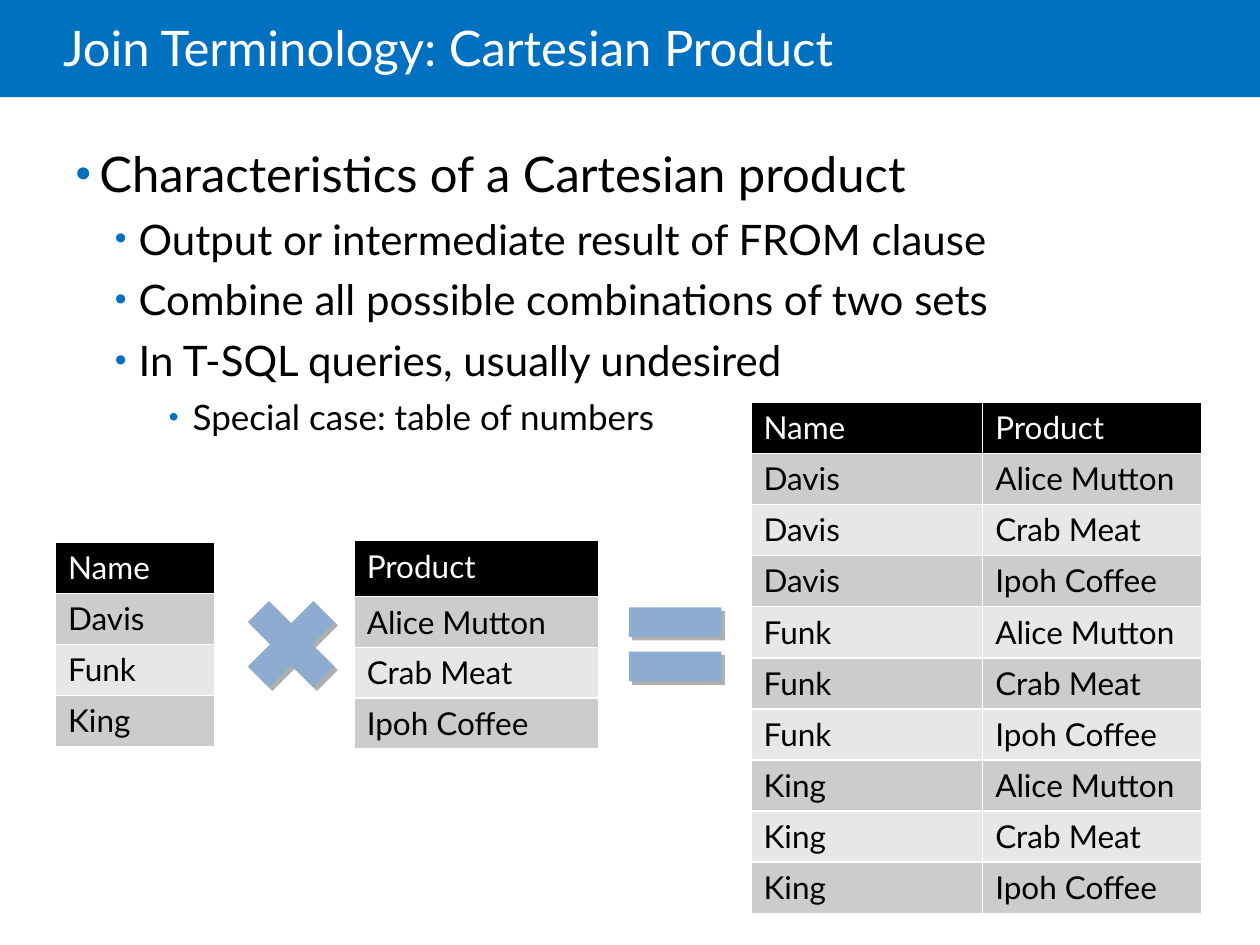
from dataclasses import dataclass
from itertools import product

from lxml.etree import SubElement
from pptx import Presentation
from pptx.dml.color import RGBColor
from pptx.enum.shapes import MSO_SHAPE
from pptx.enum.text import MSO_ANCHOR, MSO_AUTO_SIZE, PP_ALIGN
from pptx.oxml.ns import qn
from pptx.util import Cm, Pt


@dataclass(frozen=True)
class Theme:
    """Colours, font and type sizes of the slide."""
    font: str = "Lato"
    blue: str = "0070C0"
    black: str = "000000"
    white: str = "FFFFFF"
    bands: tuple = ("CCCCCC", "E7E7E7")
    sign: str = "8DACD0"
    shade: str = "AFAFAF"
    title: int = 28
    list: tuple = (28, 24, 20)
    cell: int = 18


THEME = Theme()
POINTS = [
    (0, "Characteristics of a Cartesian product"),
    (1, "Output or intermediate result of FROM clause"),
    (1, "Combine all possible combinations of two sets"),
    (1, "In T-SQL queries, usually undesired"),
    (2, "Special case: table of numbers"),
]
INDENTS = (0.48, 1.27, 2.36)
HANG = 0.48
NAMES = ["Davis", "Funk", "King"]
GOODS = ["Alice Mutton", "Crab Meat", "Ipoh Coffee"]


def place(shape, box):
    """Move a shape to a box of left, top, width and height in cm."""
    shape.left, shape.top, shape.width, shape.height = map(Cm, box)


def paint(shape, colour):
    """Fill a shape or cell with one colour."""
    shape.fill.solid()
    shape.fill.fore_color.rgb = RGBColor.from_string(colour)


def style(para, size, colour):
    """Format the runs of a paragraph."""
    for run in para.runs:
        font = run.font
        font.name, font.size, font.bold = THEME.font, Pt(size), False
        font.color.rgb = RGBColor.from_string(colour)


def add_plain(slide, kind, box, colour):
    """Add a preset shape with a fill, no line and no shadow."""
    shape = slide.shapes.add_shape(kind, *map(Cm, box))
    paint(shape, colour)
    shape.line.fill.background()
    shape.shadow.inherit = False
    return shape


def add_title(slide, box, text):
    """Set the title on a blue bar across the slide."""
    left, top, width, height = box
    bar = add_plain(slide, MSO_SHAPE.RECTANGLE, box, THEME.blue)
    title = slide.shapes.title
    title.element.addprevious(bar.element)
    place(title, (left + 1.27, top, width - 3.81, height + 0.1))
    frame = title.text_frame
    frame.text = text
    frame.word_wrap = True
    frame.auto_size = MSO_AUTO_SIZE.NONE
    frame.vertical_anchor = MSO_ANCHOR.MIDDLE
    frame.margin_left = 0
    para = frame.paragraphs[0]
    para.alignment = PP_ALIGN.LEFT
    para.line_spacing = 0.85
    style(para, THEME.title, THEME.white)


def add_bullet(para, level):
    """Give a paragraph its indent and a blue bullet."""
    props = para._p.get_or_add_pPr()
    props.set("marL", str(Cm(INDENTS[level])))
    props.set("indent", str(-Cm(HANG)))
    tint = SubElement(props, qn("a:buClr"))
    SubElement(tint, qn("a:srgbClr"), val=THEME.blue)
    SubElement(props, qn("a:buSzPct"), val="80000" if level else "90000")
    SubElement(props, qn("a:buFont"), typeface="Arial")
    SubElement(props, qn("a:buChar"), char="•")


def add_list(slide, box, points):
    """Fill the body placeholder with a bullet list."""
    body = slide.placeholders[1]
    place(body, box)
    frame = body.text_frame
    frame.text = "\n".join(text for _, text in points)
    frame.word_wrap = True
    frame.auto_size = MSO_AUTO_SIZE.NONE
    frame.vertical_anchor = MSO_ANCHOR.TOP
    for para, (level, _) in zip(frame.paragraphs, points):
        para.level = level
        para.space_before = Pt(6)
        para.space_after = Pt(0)
        style(para, THEME.list[level], THEME.black)
        add_bullet(para, level)


def add_grid(slide, box, widths, rows, head):
    """Add a table with a black head row and grey bands."""
    frame = slide.shapes.add_table(len(rows), len(widths), *map(Cm, box))
    table = frame.table
    for column, width in zip(table.columns, widths):
        column.width = Cm(width)
    pitch = (box[3] - head) / (len(rows) - 1)
    for r, values in enumerate(rows):
        table.rows[r].height = Cm(pitch if r else head)
        for c, value in enumerate(values):
            cell = table.cell(r, c)
            cell.text_frame.text = value
            paint(cell, THEME.bands[(r - 1) % 2] if r else THEME.black)
            style(cell.text_frame.paragraphs[0], THEME.cell,
                  THEME.black if r else THEME.white)


def add_sign(slide, box, kind):
    """Add a maths sign with a hard grey shadow."""
    sign = add_plain(slide, kind, box, THEME.sign)
    effects = sign.element.spPr.find(qn("a:effectLst"))
    shade = SubElement(effects, qn("a:outerShdw"), blurRad="0",
                       dist=str(Pt(2.8)), dir="2700000", algn="tl",
                       rotWithShape="0")
    SubElement(shade, qn("a:srgbClr"), val=THEME.shade)


def main():
    """Build and save the slide."""
    deck = Presentation()
    deck.slide_width, deck.slide_height = Cm(25.4), Cm(19.05)
    slide = deck.slides.add_slide(deck.slide_layouts[1])
    add_title(slide, (0, 0, 25.4, 1.96),
              "Join Terminology: Cartesian Product")
    add_list(slide, (1.27, 2.77, 21.54, 12.19), POINTS)
    add_grid(slide, (1.12, 10.93, 3.2, 4.12), [3.2],
             [["Name"]] + [[name] for name in NAMES], 1.03)
    add_grid(slide, (7.14, 10.9, 4.93, 4.19), [4.93],
             [["Product"]] + [[good] for good in GOODS], 1.13)
    add_grid(slide, (15.14, 8.11, 9.08, 10.3), [4.67, 4.41],
             [("Name", "Product"), *product(NAMES, GOODS)], 1.03)
    add_sign(slide, (4.6, 11.72, 2.54, 2.54), MSO_SHAPE.MATH_MULTIPLY)
    add_sign(slide, (12.34, 11.72, 2.54, 2.54), MSO_SHAPE.MATH_EQUAL)
    deck.save("out.pptx")


if __name__ == "__main__":
    main()
